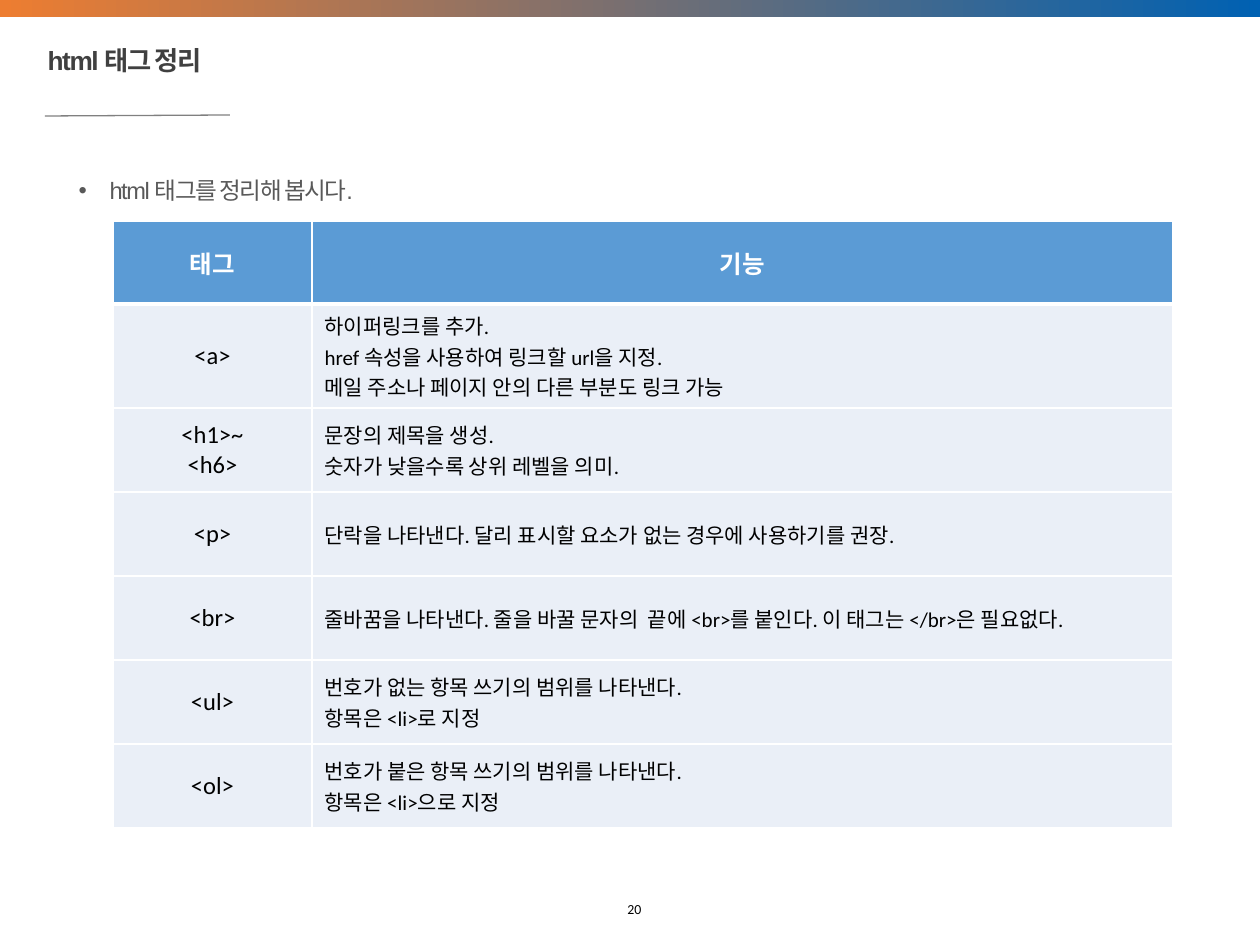
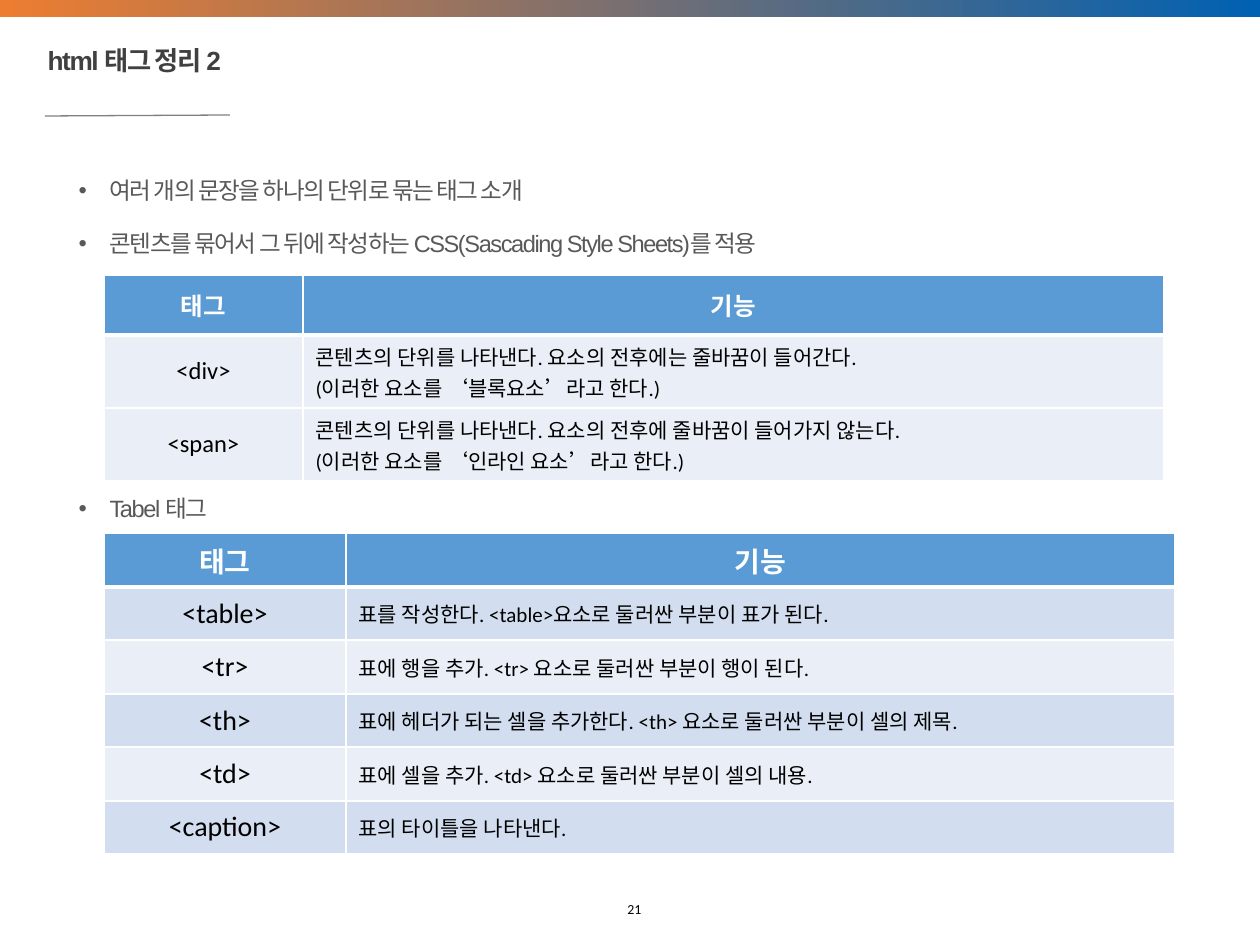
from lxml import etree
from pptx import Presentation
from pptx.dml.color import RGBColor
from pptx.enum.shapes import MSO_CONNECTOR, MSO_SHAPE
from pptx.enum.text import MSO_ANCHOR, MSO_AUTO_SIZE, PP_ALIGN
from pptx.oxml.ns import qn
from pptx.util import Pt

LEFT, CENTER = PP_ALIGN.LEFT, PP_ALIGN.CENTER
TOP, MIDDLE = MSO_ANCHOR.TOP, MSO_ANCHOR.MIDDLE

# Colours and fonts
ORANGE = RGBColor(0xED, 0x7D, 0x31)
BLUE = RGBColor(0x00, 0x61, 0xB2)
GRAY = RGBColor(0x80, 0x80, 0x80)
TITLE_GRAY = RGBColor(0x40, 0x40, 0x40)
BODY_GRAY = RGBColor(0x59, 0x59, 0x59)
BLACK = RGBColor(0x00, 0x00, 0x00)
WHITE = RGBColor(0xFF, 0xFF, 0xFF)
HEADER_BLUE = RGBColor(0x5B, 0x9B, 0xD5)
PALE = RGBColor(0xEA, 0xEF, 0xF7)
LIGHT = RGBColor(0xD2, 0xDE, 0xEF)
HEAD_FONT, TABLE_FONT = "Arial", "Calibri"

# Content: bullets are (text, space before in points)
HEADER = ("태그", "기능")
SLIDES = [
    dict(
        title="html 태그 정리", number="20",
        bullets=[("html 태그를 정리해 봅시다.", 0)],
        tables=[dict(
            at=(113, 221), cols=(199, 861), rows=(83, 104, 84, 84, 84, 84, 84),
            size=14, bands=(PALE,),
            body=[
                ("<a>", "하이퍼링크를 추가.\nhref 속성을 사용하여 링크할 url을 지정.\n"
                        "메일 주소나 페이지 안의 다른 부분도 링크 가능"),
                ("<h1>~\n<h6>", "문장의 제목을 생성.\n숫자가 낮을수록 상위 레벨을 의미."),
                ("<p>", "단락을 나타낸다. 달리 표시할 요소가 없는 경우에 사용하기를 권장."),
                ("<br>", "줄바꿈을 나타낸다. 줄을 바꿀 문자의  끝에 <br>를 붙인다. "
                         "이 태그는 </br>은 필요없다."),
                ("<ul>", "번호가 없는 항목 쓰기의 범위를 나타낸다.\n항목은 <li>로 지정"),
                ("<ol>", "번호가 붙은 항목 쓰기의 범위를 나타낸다.\n항목은 <li>으로 지정"),
            ])]),
    dict(
        title="html 태그 정리 2", number="21",
        bullets=[("여러 개의 문장을 하나의 단위로 묶는 태그 소개", 0),
                 ("콘텐츠를 묶어서 그 뒤에 작성하는 CSS(Sascading Style Sheets)를 적용", 10),
                 ("Tabel 태그", 131)],
        tables=[
            dict(
                at=(104, 275), cols=(199, 861), rows=(60, 73, 73),
                size=14, bands=(PALE,),
                body=[
                    ("<div>", "콘텐츠의 단위를 나타낸다. 요소의 전후에는 줄바꿈이 들어간다.\n"
                              "(이러한 요소를 ‘블록요소’라고 한다.)"),
                    ("<span>", "콘텐츠의 단위를 나타낸다. 요소의 전후에 줄바꿈이 들어가지 않는다.\n"
                               "(이러한 요소를 ‘인라인 요소’라고 한다.)"),
                ]),
            dict(
                at=(104, 533), cols=(242, 829), rows=(54, 53) * 3,
                size=16, bands=(LIGHT, PALE),
                body=[
                    ("<table>", "표를 작성한다. <table>요소로 둘러싼 부분이 표가 된다."),
                    ("<tr>", "표에 행을 추가. <tr> 요소로 둘러싼 부분이 행이 된다."),
                    ("<th>", "표에 헤더가 되는 셀을 추가한다. <th> 요소로 둘러싼 부분이 셀의 제목."),
                    ("<td>", "표에 셀을 추가. <td> 요소로 둘러싼 부분이 셀의 내용."),
                    ("<caption>", "표의 타이틀을 나타낸다."),
                ]),
        ]),
]


def px(n):
    return round(n * 914400 / 126)


def place(sp, x, y, w, h):
    sp.left, sp.top, sp.width, sp.height = px(x), px(y), px(w), px(h)


def write(tf, lines, size, color, font=TABLE_FONT, bold=False, align=LEFT,
          anchor=TOP, line_spacing=None, tracking=None, bullet=False, before=None):
    """Fill a text frame with one paragraph per line."""
    tf.word_wrap = True
    tf.vertical_anchor = anchor
    for i, line in enumerate(lines):
        p = tf.paragraphs[0] if i == 0 else tf.add_paragraph()
        p.alignment = align
        if line_spacing:
            p.line_spacing = line_spacing
        p.space_before = Pt(before[i] if before else 0)
        if bullet:
            pPr = p._p.get_or_add_pPr()
            pPr.set("marL", str(px(31)))
            pPr.set("indent", str(-px(31)))
            etree.SubElement(pPr, qn("a:buChar")).set("char", "•")
        r = p.add_run()
        r.text = line
        r.font.size, r.font.name, r.font.bold = Pt(size), font, bold
        r.font.color.rgb = color
        if tracking:
            r._r.get_or_add_rPr().set("spc", str(round(tracking * 100)))


def set_borders(cell, row):
    """White grid with a thick line under the header row."""
    widths = {"L": 1, "R": 1, "T": 3 if row == 1 else 1, "B": 3 if row == 0 else 1}
    tcPr = cell._tc.get_or_add_tcPr()
    for side, width in widths.items():
        ln = etree.SubElement(tcPr, qn("a:ln" + side), w=str(Pt(width)))
        fill = etree.SubElement(ln, qn("a:solidFill"))
        etree.SubElement(fill, qn("a:srgbClr"), val=str(WHITE))


def add_tag_table(s, at, cols, rows, size, bands, body):
    x, y = at
    frame = s.shapes.add_table(len(rows), len(cols), px(x), px(y),
                               px(sum(cols)), px(sum(rows)))
    table = frame.table
    for col, w in zip(table.columns, cols):
        col.width = px(w)
    for row, h in zip(table.rows, rows):
        row.height = px(h)
    for i, texts in enumerate([HEADER] + body):
        for j, text in enumerate(texts):
            cell = table.cell(i, j)
            head, tag = i == 0, j == 0
            set_borders(cell, i)
            cell.fill.solid()
            cell.fill.fore_color.rgb = HEADER_BLUE if head else bands[(i - 1) % len(bands)]
            write(cell.text_frame, text.split("\n"), size if head or tag else 12,
                  WHITE if head else BLACK, bold=head,
                  align=CENTER if head or tag else LEFT)
            cell.vertical_anchor = MIDDLE


def add_frame(s, number):
    """Top band, rule under the title and page number."""
    band = s.shapes.add_shape(MSO_SHAPE.RECTANGLE, 0, 0, px(1260), px(17))
    band.shadow.inherit = False
    band.line.fill.background()
    band.fill.gradient()
    band.fill.gradient_angle = 0
    for stop, color in zip(band.fill.gradient_stops, (ORANGE, BLUE)):
        stop.color.rgb = color

    rule = s.shapes.add_connector(MSO_CONNECTOR.STRAIGHT, px(45), px(116), px(230), px(115))
    rule.line.color.rgb = GRAY
    rule.line.width = Pt(0.75)
    etree.SubElement(rule._element.spPr, qn("a:effectLst"))

    box = s.shapes.add_textbox(px(493), px(895), px(283), px(50))
    write(box.text_frame, [number], 7.9, BLACK, align=CENTER)


def build_slide(prs, title, number, bullets, tables):
    s = prs.slides.add_slide(prs.slide_layouts[1])
    add_frame(s, number)

    # Title and bullet list
    heading, body = s.shapes.title, s.placeholders[1]
    place(heading, 35, 42, 696, 57)
    place(body, 66, 163, 1138, 706)
    for sp in (heading, body):
        sp.text_frame.auto_size = MSO_AUTO_SIZE.NONE
    write(heading.text_frame, [title], 15, TITLE_GRAY, font=HEAD_FONT, bold=True,
          line_spacing=0.9, tracking=-0.8)
    lines, before = zip(*bullets)
    write(body.text_frame, lines, 13.5, BODY_GRAY, font=HEAD_FONT,
          line_spacing=1.25, tracking=-0.8, bullet=True, before=before)

    for table in tables:
        add_tag_table(s, **table)


def main():
    prs = Presentation()
    prs.slide_width, prs.slide_height = px(1260), px(945)
    for content in SLIDES:
        build_slide(prs, **content)
    prs.save("out.pptx")


if __name__ == "__main__":
    main()
